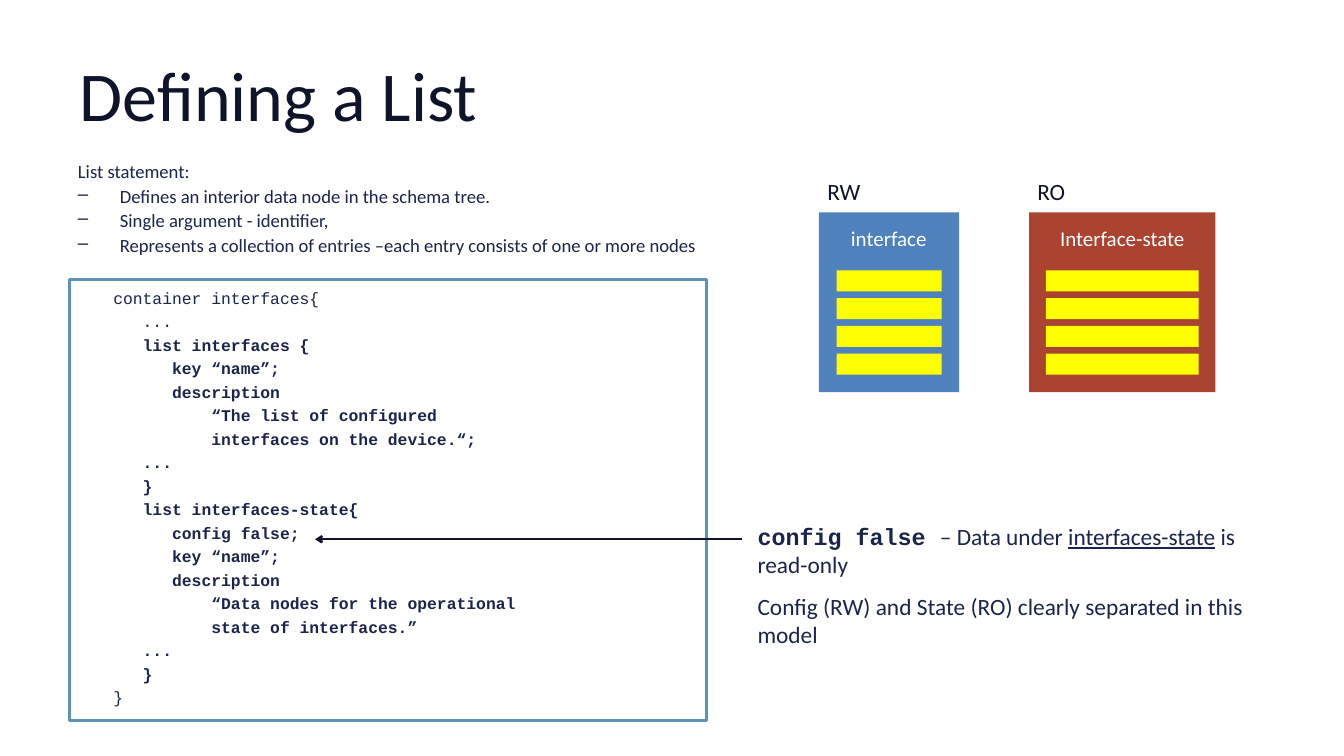
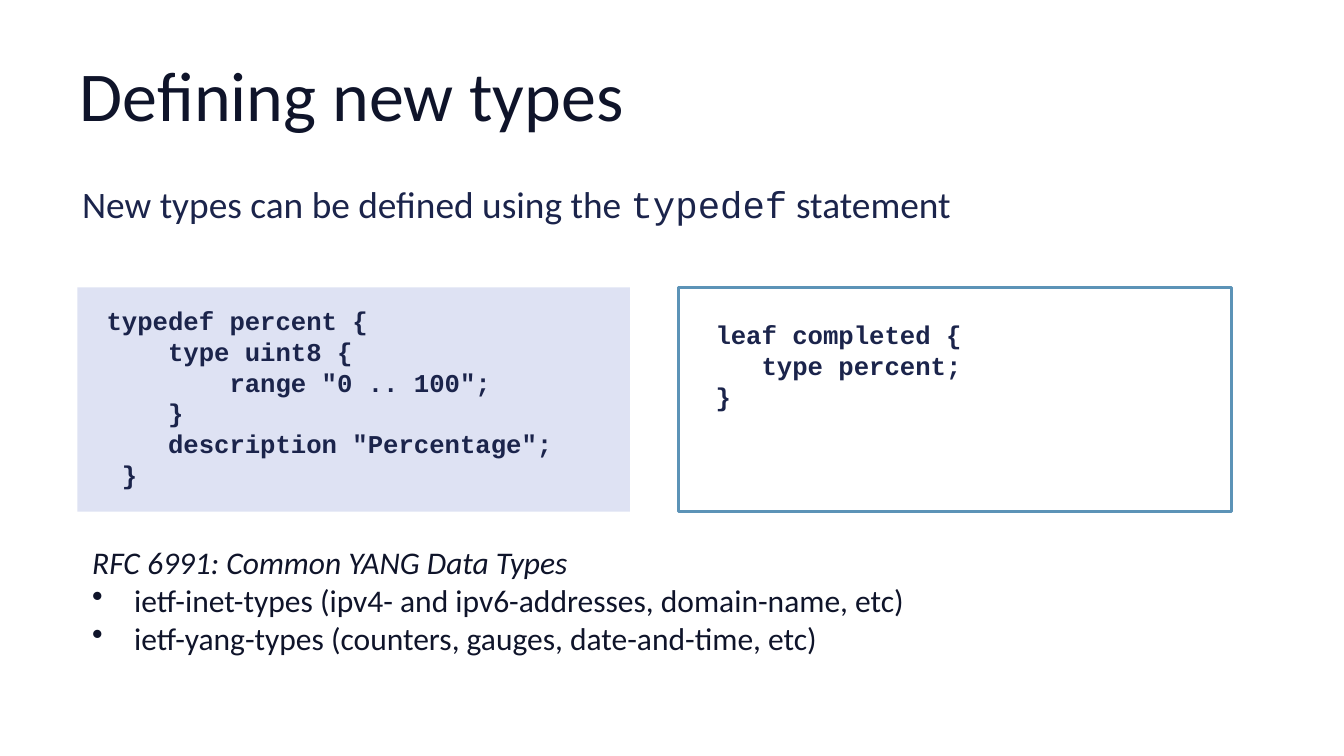
import pptx
import pptx.util
import pptx.dml.color
import pptx.enum.shapes
import pptx.enum.text
from lxml import etree
from pptx.dml.color import RGBColor
from pptx.util import Inches

INK = RGBColor(0x0F, 0x14, 0x2A)
NAVY = RGBColor(0x1B, 0x24, 0x4B)
FRAME = RGBColor(0x5C, 0x93, 0xB7)
PANEL = RGBColor(0xDE, 0xE2, 0xF3)
BLUE = RGBColor(0x4F, 0x81, 0xBD)
RED = RGBColor(0xAA, 0x43, 0x30)
YELLOW = RGBColor(0xFF, 0xFF, 0x00)
WHITE = RGBColor(0xFF, 0xFF, 0xFF)
SANS, MONO = "Calibri", "Courier New"
A = "{http://schemas.openxmlformats.org/drawingml/2006/main}"


def add_text(shapes, at, lines, size, color=NAVY, font=SANS, bold=False,
             spacing=None, bullet=None, wrap=True, grow=True):
    """Add one paragraph per line; a tuple makes several runs.

    With a bullet character, every line after the first is bulleted.
    """
    sp = shapes.add_textbox(*map(Inches, at))
    tf = sp.text_frame
    tf.word_wrap = wrap
    if grow:
        tf.auto_size = pptx.enum.text.MSO_AUTO_SIZE.SHAPE_TO_FIT_TEXT
    for i, line in enumerate(lines):
        p = tf.paragraphs[0] if i == 0 else tf.add_paragraph()
        if isinstance(line, tuple):
            for part in line:
                p.add_run().text = part
        else:
            p.text = line
        if spacing:
            p.line_spacing = spacing
        if bullet and i > 0:
            pPr = p._p.get_or_add_pPr()
            pPr.set("marL", str(Inches(0.5)))
            pPr.set("indent", str(Inches(-0.5)))
            etree.SubElement(pPr, A + "buChar", char=bullet)
        for r in p.runs:
            r.font.size = pptx.util.Pt(size)
            r.font.name = font
            r.font.color.rgb = color
            r.font.bold = bold
    return tf


def add_rect(shapes, at, fill=None):
    """Add a filled rectangle, or an outlined frame when there is no fill."""
    sp = shapes.add_shape(pptx.enum.shapes.MSO_SHAPE.RECTANGLE, *map(Inches, at))
    sp.shadow.inherit = False
    if fill is None:
        sp.fill.background()
        sp.line.color.rgb = FRAME
        sp.line.width = pptx.util.Pt(2.25)
    else:
        sp.fill.solid()
        sp.fill.fore_color.rgb = fill
        sp.line.fill.background()


prs = pptx.Presentation()
prs.slide_width, prs.slide_height = Inches(16), Inches(9)
slides = []
for title in ("Defining a List", "Defining new types"):
    s = prs.slides.add_slide(prs.slide_layouts[6])
    tf = add_text(s.shapes, (0.8, 0.36, 14.4, 1.5), [title], 60, INK, grow=False)
    tf.vertical_anchor = pptx.enum.text.MSO_ANCHOR.MIDDLE
    tf.margin_left = tf.margin_right = Inches(0.15)
    tf.margin_top = tf.margin_bottom = Inches(0.08)
    slides.append(s)
list_slide, types_slide = slides

# Defining a List
shapes = list_slide.shapes
tf = add_text(shapes, (8.92, 6.17, 6.46, 0.77),
              [("config false ", "– Data under ", "interfaces-state", " is read-only")], 20)
keyword, _, node, _ = tf.paragraphs[0].runs
keyword.font.name = MONO
keyword.font.bold = True
node.font.underline = True
add_text(shapes, (8.92, 7, 6.06, 0.77),
         ["Config (RW) and State (RO) clearly separated in this model"], 20)
add_text(shapes, (0.83, 1.83, 7.83, 1.28), [
    "List statement:",
    "Defines an interior data node in the schema tree.",
    "Single argument - identifier,",
    "Represents a collection of entries –each entry consists of one or more nodes",
], 16, spacing=1.1, bullet="–")

code = """container interfaces{
   ...
   list interfaces {
      key “name”;
      description
          “The list of configured
          interfaces on the device.“;
   ...
   }
   list interfaces-state{
      config false;
      key “name”;
      description
          “Data nodes for the operational
          state of interfaces.”
   ...
   }
}""".splitlines()
tf = add_text(shapes, (1.25, 3.33, 6.92, 5.18), code, 14, font=MONO, spacing=1.2)
for p in tf.paragraphs[2:-1]:
    p.runs[0].font.bold = True

# access, name, fill, left, width, name box left and width, entry inset
containers = [
    ("RW", "interface", BLUE, 9.75, 1.67, 10.02, 1.12, 0.21),
    ("RO", "Interface-state", RED, 12.25, 2.22, 12.5, 1.72, 0.2),
]
for access, name, fill, left, width, name_left, name_width, inset in containers:
    group = shapes.add_group_shape().shapes
    add_rect(group, (left, 2.53, width, 2.14), fill)
    tf = add_text(group, (name_left, 2.63, name_width, 0.4), [name], 18, WHITE, wrap=False)
    tf.paragraphs[0].alignment = pptx.enum.text.PP_ALIGN.CENTER
    for row in range(4):
        add_rect(group, (left + inset, 3.22 + 0.33 * row, width - 2 * inset, 0.25), YELLOW)
    add_text(shapes, (left, 2.06, 0.65, 0.49), [access], 20, INK, wrap=False)

add_rect(shapes, (0.83, 3.33, 7.58, 5.25))
arrow = shapes.add_connector(pptx.enum.shapes.MSO_CONNECTOR.STRAIGHT,
                             Inches(8.83), Inches(6.42), Inches(3.75), Inches(6.42))
arrow.line.color.rgb = INK
arrow.line.width = pptx.util.Pt(2)
etree.SubElement(arrow.line._get_or_add_ln(), A + "tailEnd", type="arrow")
etree.SubElement(arrow._element.spPr, A + "effectLst")

# Defining new types
shapes = types_slide.shapes
add_rect(shapes, (8.08, 3.42, 6.58, 2.67))
add_rect(shapes, (0.92, 3.42, 6.58, 2.67), PANEL)
tf = add_text(shapes, (0.88, 2.11, 14.1, 0.92),
              [("New types can be defined using the ", "typedef", " statement")], 32, grow=False)
tf.paragraphs[0].runs[1].font.name = MONO

typedef_code = """typedef percent {
    type uint8 {
        range "0 .. 100";
    }
    description "Percentage";
 }""".splitlines()
leaf_code = """leaf completed {
   type percent;
}""".splitlines()
add_text(shapes, (1.17, 3.58, 5.58, 2.32), typedef_code, 22, font=MONO, bold=True)
add_text(shapes, (8.42, 3.75, 3.67, 1.58), leaf_code, 22, font=MONO, bold=True)
tf = add_text(shapes, (1, 6.42, 13.67, 0.56), [
    "RFC 6991: Common YANG Data Types",
    "ietf-inet-types (ipv4- and ipv6-addresses, domain-name, etc)",
    "ietf-yang-types (counters, gauges, date-and-time, etc)",
], 27, INK, bullet="•", grow=False)
tf.paragraphs[0].runs[0].font.italic = True

prs.save("out.pptx")
